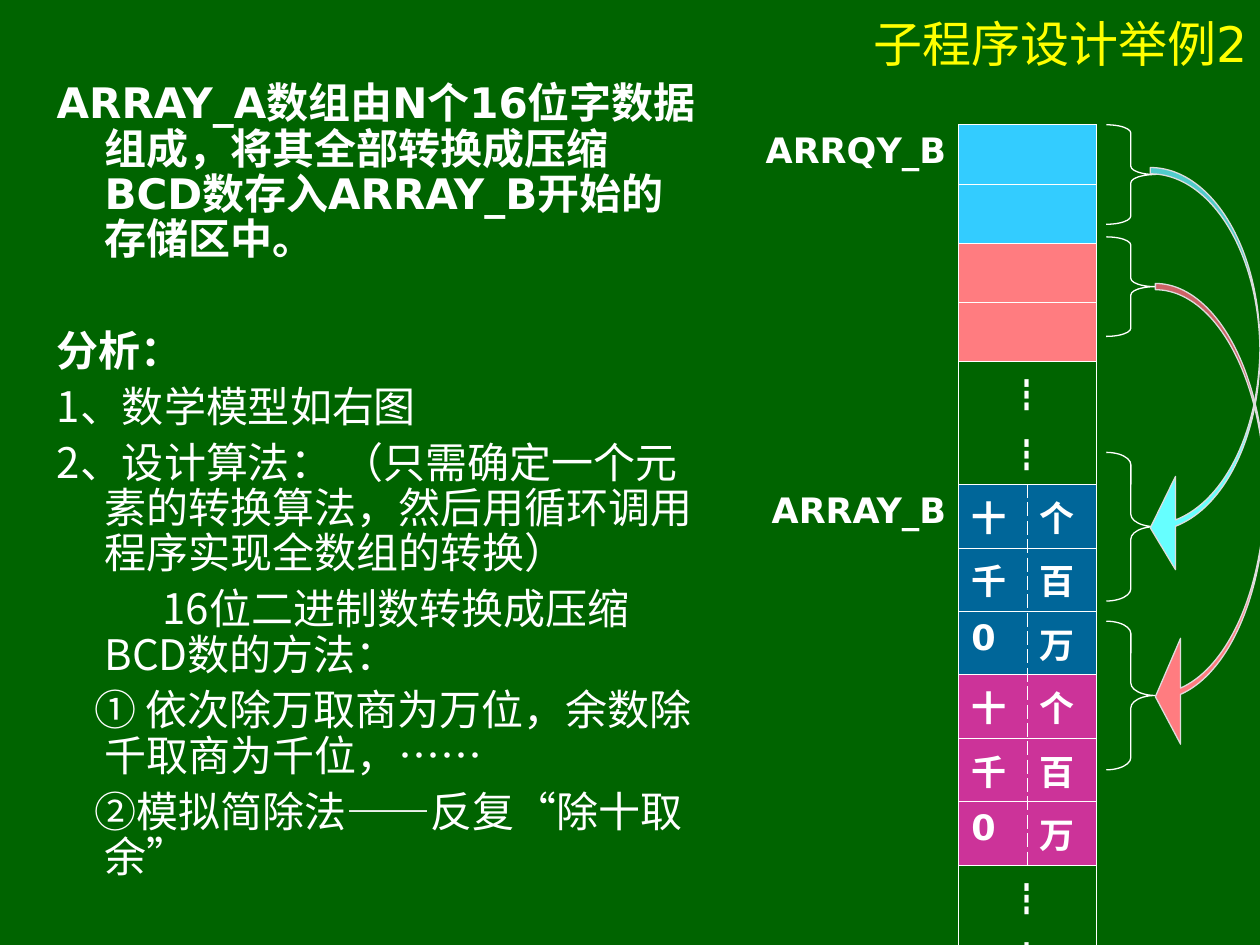
import pptx
import pptx.dml.color
import pptx.enum.shapes
import pptx.enum.text
import pptx.oxml
import pptx.oxml.ns
import pptx.util

Inches = pptx.util.Inches
Pt = pptx.util.Pt
ALIGN = pptx.enum.text.PP_ALIGN
SHAPE = pptx.enum.shapes.MSO_SHAPE

LATIN = "DejaVu Sans"
CJK = "Noto Sans CJK SC"
WHITE = "FFFFFF"
NAMESPACE = pptx.oxml.ns.nsdecls("a")

PROBLEM = "ARRAY_A数组由N个16位字数据组成，将其全部转换成压缩BCD数存入ARRAY_B开始的存储区中。"
# text, bold, first-line indent, space before
BODY = [
    (PROBLEM, True, -0.38, 0),
    ("分析：", True, -0.38, 37.9),
    ("1、数学模型如右图", False, -0.38, 6),
    ("2、设计算法： （只需确定一个元素的转换算法，然后用循环调用程序实现全数组的转换）", False, -0.38, 6),
    ("16位二进制数转换成压缩BCD数的方法：", False, 0.46, 6),
    ("① 依次除万取商为万位，余数除千取商为千位，……", False, -0.08, 6),
    ("②模拟简除法——反复“除十取余”", False, -0.08, 6),
]
WORD_COLORS = ["33CCFF", "FF7C80"]
BCD_COLORS = ["006699", "CC3399"]
BCD_DIGITS = [("十", "个"), ("千", "百"), ("0", "万")]


def rgb(value):
    return pptx.dml.color.RGBColor.from_string(value)


def place(part, box):
    part.left, part.top, part.width, part.height = [Inches(v) for v in box]


def format_runs(paragraph, size, color, bold, font_name):
    for run in paragraph.runs:
        run.font.size = Pt(size)
        run.font.bold = bold
        run.font.color.rgb = rgb(color)
        run.font.name = font_name
        run.font._element.append(
            pptx.oxml.parse_xml(f'<a:ea {NAMESPACE} typeface="{CJK}"/>'))


def write_title(slide, box):
    title = slide.shapes.title
    place(title, box)
    frame = title.text_frame
    frame.text = "子程序设计举例2"
    frame.auto_size = pptx.enum.text.MSO_AUTO_SIZE.NONE
    frame.vertical_anchor = pptx.enum.text.MSO_ANCHOR.MIDDLE
    frame.paragraphs[0].alignment = ALIGN.RIGHT
    format_runs(frame.paragraphs[0], 28, "FFFF00", False, LATIN)


def write_body(slide, box):
    body = slide.placeholders[1]
    place(body, box)
    frame = body.text_frame
    frame.text = "\n".join(entry[0] for entry in BODY)
    frame.auto_size = pptx.enum.text.MSO_AUTO_SIZE.NONE
    for paragraph, (_, bold, indent, before) in zip(frame.paragraphs, BODY):
        properties = paragraph._p.get_or_add_pPr()
        properties.set("marL", str(Inches(0.38)))
        properties.set("indent", str(Inches(indent)))
        properties.append(pptx.oxml.parse_xml(f"<a:buNone {NAMESPACE}/>"))
        paragraph.line_spacing = Pt(25.9)
        paragraph.space_before = Pt(before)
        format_runs(paragraph, 24, WHITE, bold, LATIN if bold else CJK)


def set_borders(cell, **dashes):
    properties = cell._tc.get_or_add_tcPr()
    for index, side in enumerate("LRTB"):
        dash = dashes.get(side)
        paint = "<a:noFill/>"
        if dash:
            paint = (f'<a:solidFill><a:srgbClr val="{WHITE}"/></a:solidFill>'
                     f'<a:prstDash val="{dash}"/>')
        properties.insert(index, pptx.oxml.parse_xml(
            f'<a:ln{side} {NAMESPACE} w="{Pt(0.45)}">{paint}</a:ln{side}>'))


def write_cell(cell, text, alignment=ALIGN.LEFT, font_name=LATIN):
    cell.text_frame.text = text
    for index, paragraph in enumerate(cell.text_frame.paragraphs):
        paragraph.alignment = alignment
        paragraph.space_before = Pt(5 if index else 0)
        format_runs(paragraph, 20, WHITE, True, font_name)


def paint_cell(cell, color):
    if color:
        cell.fill.solid()
        cell.fill.fore_color.rgb = rgb(color)
    else:
        cell.fill.background()


def build_memory(slide, box):
    heights = [0.47] * 4 + [0.84] + [0.44] * 8
    colors = [c for c in WORD_COLORS for _ in range(2)] + [None]
    colors += [c for c in BCD_COLORS for _ in BCD_DIGITS] + [None, None]
    digit_rows = dict(enumerate(BCD_DIGITS * 2, start=5))

    memory = slide.shapes.add_table(
        len(heights), 3, *[Inches(v) for v in box]).table
    memory.first_row = memory.horz_banding = False
    for column, width in zip(memory.columns, (1.89, 0.54, 0.55)):
        column.width = Inches(width)

    for row, (height, color) in enumerate(zip(heights, colors)):
        memory.rows[row].height = Inches(height)
        label, high, low = [memory.cell(row, column) for column in range(3)]
        middle = "dash" if row in digit_rows else "solid"
        paint_cell(label, None)
        set_borders(label, R="solid")
        paint_cell(high, color)
        set_borders(high, L="solid", R=middle, T="solid", B="solid")
        paint_cell(low, color)
        set_borders(low, L=middle, R="solid", T="solid", B="solid")
        if row in digit_rows:
            for cell, digit in zip((high, low), digit_rows[row]):
                write_cell(cell, digit)
        elif row < 5:
            high.merge(low)

    memory.cell(11, 1).merge(memory.cell(12, 2))
    for row in (4, 11):
        write_cell(memory.cell(row, 1), "┇\n┇", ALIGN.CENTER, CJK)
    for row, name in ((0, "ARRQY_B"), (5, "ARRAY_B")):
        write_cell(memory.cell(row, 0), name, ALIGN.RIGHT)


def add_outlined(slide, kind, box, line_color):
    part = slide.shapes.add_shape(kind, *[Inches(v) for v in box])
    part.shadow.inherit = False
    part.line.color.rgb = rgb(line_color)
    part.line.width = Pt(0.75)
    return part


def add_brace(slide, box):
    brace = add_outlined(slide, SHAPE.RIGHT_BRACE, box, WHITE)
    brace.fill.background()
    brace.adjustments[0] = box[3] / 12 / box[2]


def add_mapping_arrow(slide, box, color, head_width):
    arrow = add_outlined(slide, SHAPE.CURVED_LEFT_ARROW, box, "DDDDDD")
    arrow.fill.solid()
    arrow.fill.fore_color.rgb = rgb(color)
    for index, length in enumerate((0.05, head_width, 0.2)):
        arrow.adjustments[index] = length / box[2]


def build_mapping(slide, box):
    left, top, width, height = box
    for offset, brace_height in ((0, 0.79), (0.89, 0.79), (2.6, 1.18), (3.94, 1.18)):
        add_brace(slide, (left, top + offset, 0.39, brace_height))
    add_mapping_arrow(slide, (left + 0.35, top + 0.34, 0.87, 3.23), "66FFFF", 0.74)
    add_mapping_arrow(slide, (left + 0.39, top + 1.26, 0.87, 3.7), "FF7C80", 0.84)


def main():
    deck = pptx.Presentation()
    deck.slide_width, deck.slide_height = Inches(10), Inches(7.5)
    slide = deck.slides.add_slide(deck.slide_layouts[1])
    slide.background.fill.solid()
    slide.background.fill.fore_color.rgb = rgb("006400")
    write_title(slide, (6.47, 0, 3.53, 0.68))
    write_body(slide, (0.35, 0.6, 5.28, 6.53))
    build_memory(slide, (5.72, 0.99, 2.98, 6.04))
    build_mapping(slide, (8.78, 0.99, 1.26, 5.12))
    deck.save("out.pptx")


if __name__ == "__main__":
    main()
